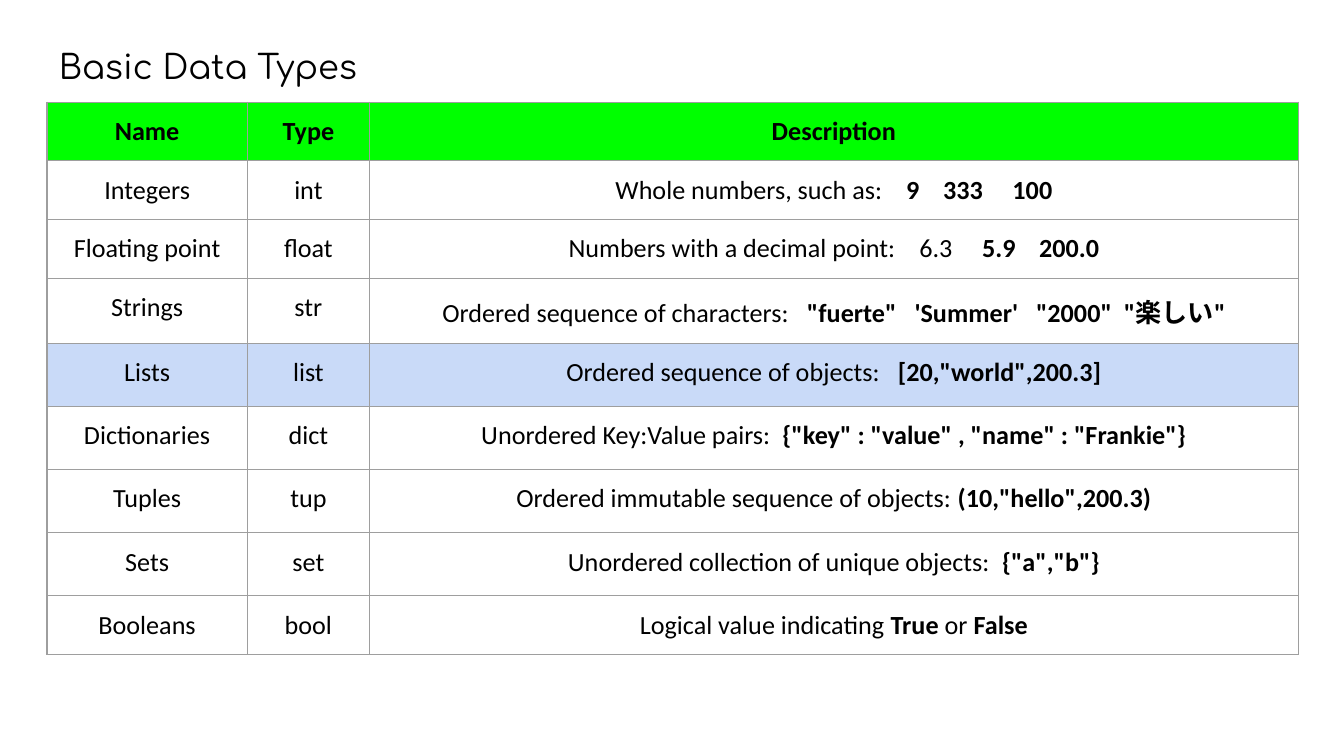
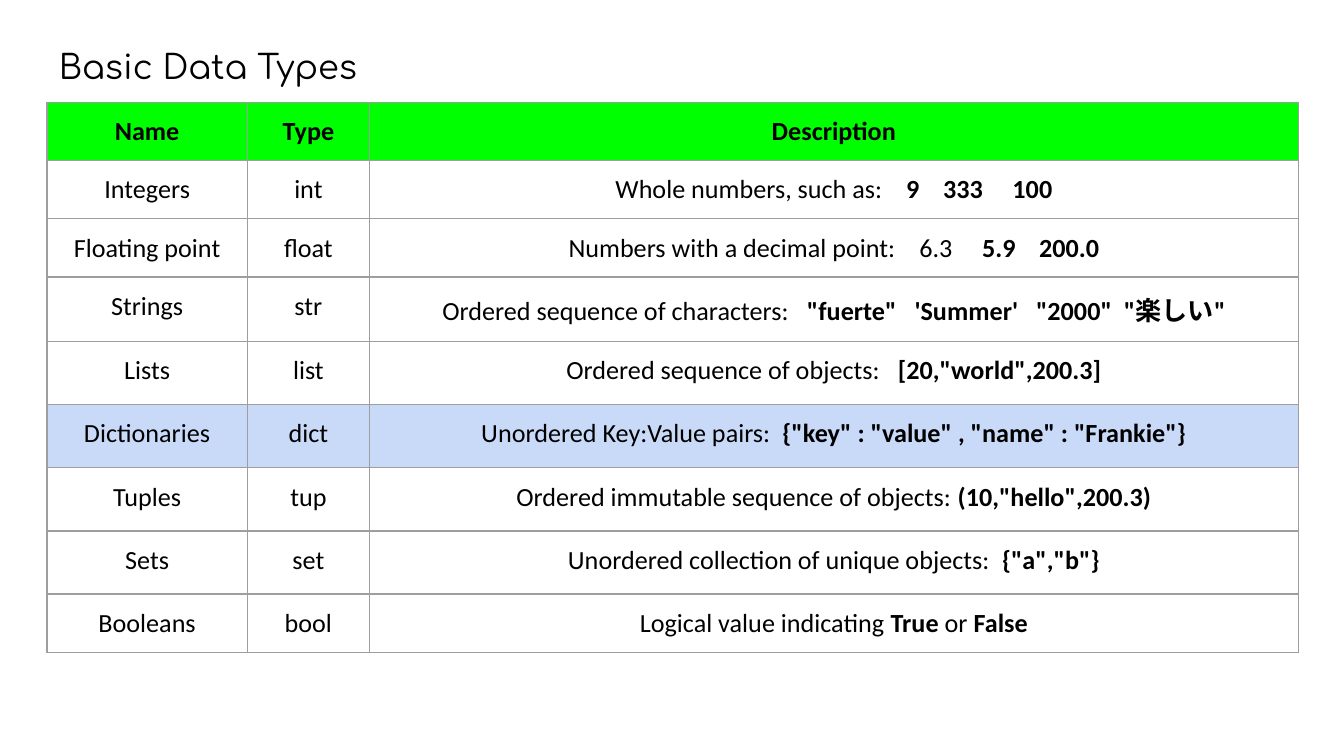
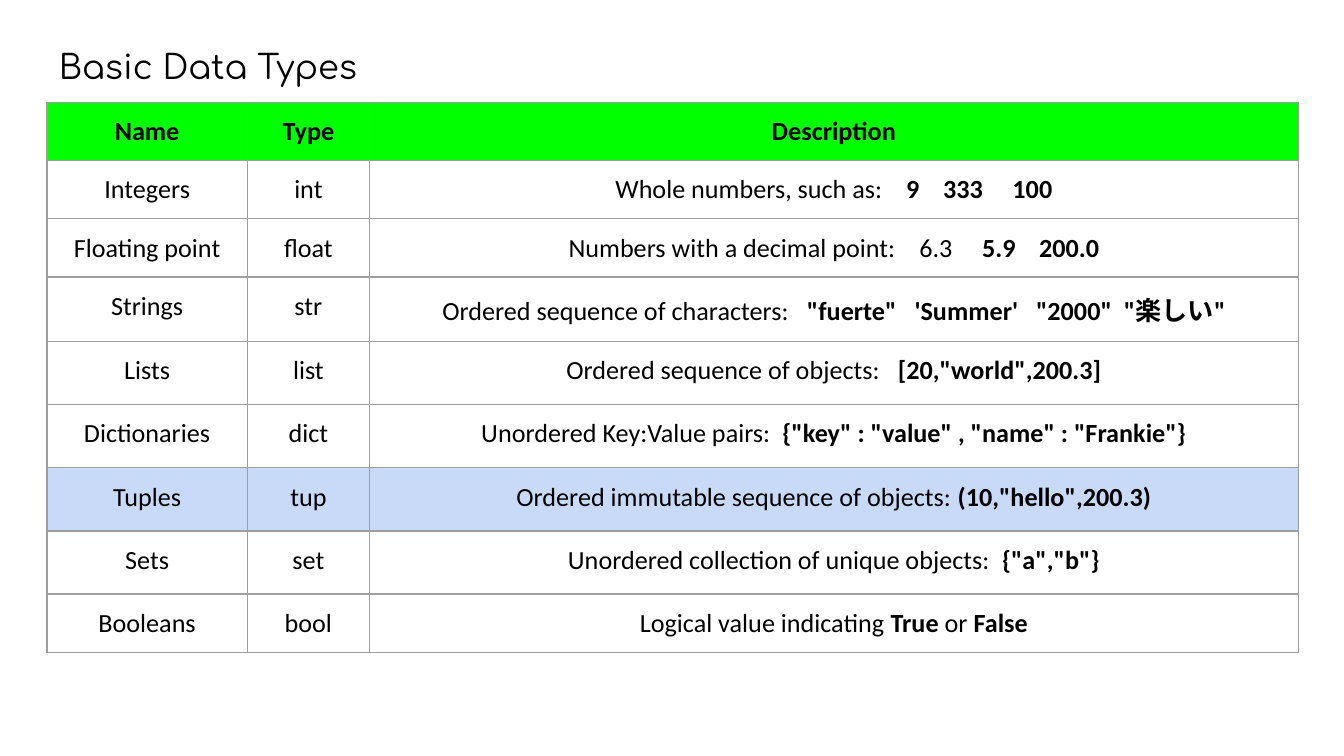
from lxml import etree
from pptx import Presentation
from pptx.dml.color import RGBColor
from pptx.enum.text import MSO_ANCHOR, PP_ALIGN
from pptx.oxml.ns import qn
from pptx.util import Inches, Pt

CENTER, LEFT = PP_ALIGN.CENTER, PP_ALIGN.LEFT
TOP = MSO_ANCHOR.TOP

# Content: a description is a list of (text, bold, gap after it in spaces)
TITLE = "Basic Data Types"
HEADER = ("Name", "Type", "Description")
DATA_TYPES = [
    ("Integers", "int", [("Whole numbers, such as:", False, 4), ("9", True, 4),
                         ("333", True, 5), ("100", True, 0)]),
    ("Floating point", "float", [("Numbers with a decimal point:", False, 4), ("6.3", False, 5),
                                 ("5.9", True, 4), ("200.0", True, 0)]),
    ("Strings", "str", [("Ordered sequence of characters:", False, 3), ('"fuerte"', True, 3),
                        ("'Summer'", True, 3), ('"2000"', True, 2), ('"楽しい"', True, 0)]),
    ("Lists", "list", [("Ordered sequence of objects:", False, 3),
                       ('[20,"world",200.3]', True, 0)]),
    ("Dictionaries", "dict", [("Unordered Key:Value pairs:", False, 2),
                              ('{"key" : "value" , "name" : "Frankie"}', True, 0)]),
    ("Tuples", "tup", [("Ordered immutable sequence of objects:", False, 1),
                       ('(10,"hello",200.3)', True, 0)]),
    ("Sets", "set", [("Unordered collection of unique objects:", False, 2),
                     ('{"a","b"}', True, 0)]),
    ("Booleans", "bool", [("Logical value indicating", False, 1), ("True", True, 1),
                          ("or", False, 1), ("False", True, 0)]),
]
HIGHLIGHTS = ("Lists", "Dictionaries", "Tuples")  # one slide each

# Shared style
COLORS = {"text": "000000", "header": "00FF00", "highlight": "C9DAF8", "border": "9E9E9E"}
TITLE_FONT = {"name": "Comfortaa", "size": Pt(18), "bold": False}
CELL_FONT = {"name": "Calibri", "size": Pt(14)}
SPACE_WIDTH = 316  # a space in the cell font, in hundredths of a point
INSET = Inches(0.1)
MARGINS = {f"margin_{side}": INSET for side in ("left", "right", "top", "bottom")}
TABLE_LEFT, TABLE_TOP = 0.35, 0.76
COL_WIDTHS = (1.49, 0.91, 6.91)
ROW_HEIGHTS = (0.41, 0.41, 0.41, 0.48, 0.47, 0.47, 0.47, 0.47, 0.31)


def set_attrs(target, values):
    for name, value in values.items():
        setattr(target, name, value)


def add_run(p, text, font):
    r = p.add_run()
    r.text = text
    set_attrs(r.font, font)
    r.font.color.rgb = RGBColor.from_string(COLORS["text"])
    return r


def add_pieces(p, pieces):
    for text, bold, gap in pieces:
        font = {**CELL_FONT, "bold": bold}
        if gap <= 1:
            add_run(p, text + " " * gap, font)
        else:
            add_run(p, text, font)
            # One space, widened by character spacing
            space = add_run(p, " ", font)
            space.font._element.set("spc", str((gap - 1) * SPACE_WIDTH))


def add_borders(cell):
    tc_pr = cell._tc.get_or_add_tcPr()
    for i, side in enumerate(("lnL", "lnR", "lnT", "lnB")):
        ln = etree.Element(qn(f"a:{side}"), w=str(Pt(0.75)))
        fill = etree.SubElement(ln, qn("a:solidFill"))
        etree.SubElement(fill, qn("a:srgbClr"), val=COLORS["border"])
        tc_pr.insert(i, ln)


def fill_cell(cell, pieces, color):
    set_attrs(cell, {**MARGINS, "vertical_anchor": TOP})
    if color:
        cell.fill.solid()
        cell.fill.fore_color.rgb = RGBColor.from_string(COLORS[color])
    else:
        cell.fill.background()
    add_borders(cell)
    p = cell.text_frame.paragraphs[0]
    p.alignment = CENTER
    add_pieces(p, pieces)


def add_type_table(slide, highlight):
    rows = [[[(text, True, 0)] for text in HEADER]]
    colors = ["header"]
    for name, kind, description in DATA_TYPES:
        rows.append([[(name, False, 0)], [(kind, False, 0)], description])
        colors.append("highlight" if name == highlight else None)

    box = (TABLE_LEFT, TABLE_TOP, sum(COL_WIDTHS), sum(ROW_HEIGHTS))
    table = slide.shapes.add_table(len(rows), len(HEADER), *map(Inches, box)).table
    set_attrs(table, {"first_row": False, "horz_banding": False})
    for column, width in zip(table.columns, COL_WIDTHS):
        column.width = Inches(width)
    for row, height, contents, color in zip(table.rows, ROW_HEIGHTS, rows, colors):
        row.height = Inches(height)
        for cell, pieces in zip(row.cells, contents):
            fill_cell(cell, pieces, color)


def add_title(slide):
    sp = slide.shapes.add_textbox(*map(Inches, (0.34, 0.24, 3.94, 0.57)))
    tf = sp.text_frame
    set_attrs(tf, {**MARGINS, "word_wrap": True, "vertical_anchor": TOP})
    p = tf.paragraphs[0]
    p.alignment = LEFT
    add_run(p, TITLE, TITLE_FONT)


def main():
    prs = Presentation()
    prs.slide_width = Inches(10)
    prs.slide_height = prs.slide_width * 9 // 16
    for highlight in HIGHLIGHTS:
        slide = prs.slides.add_slide(prs.slide_layouts[6])
        add_type_table(slide, highlight)
        add_title(slide)
    prs.save("out.pptx")


if __name__ == "__main__":
    main()
